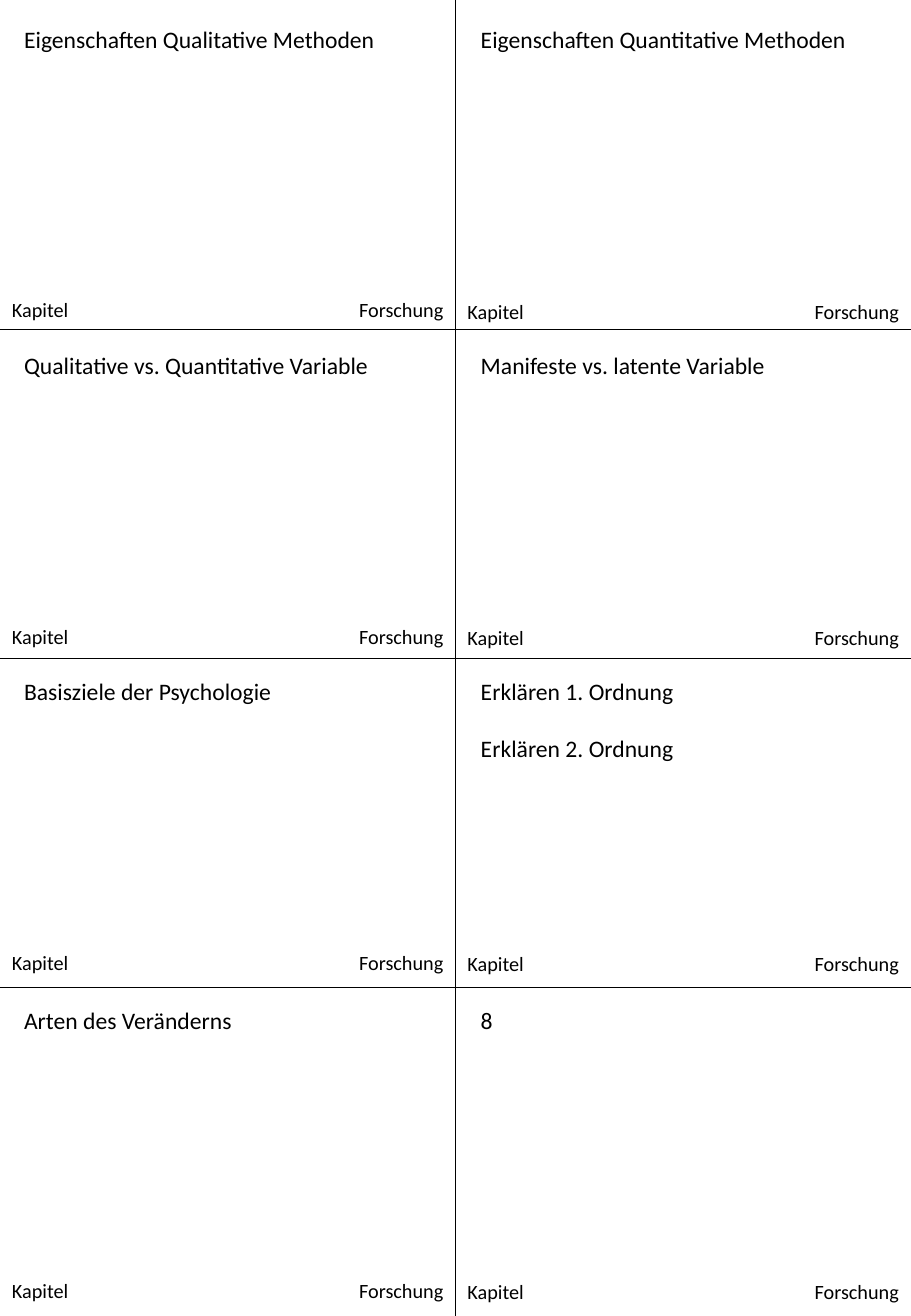
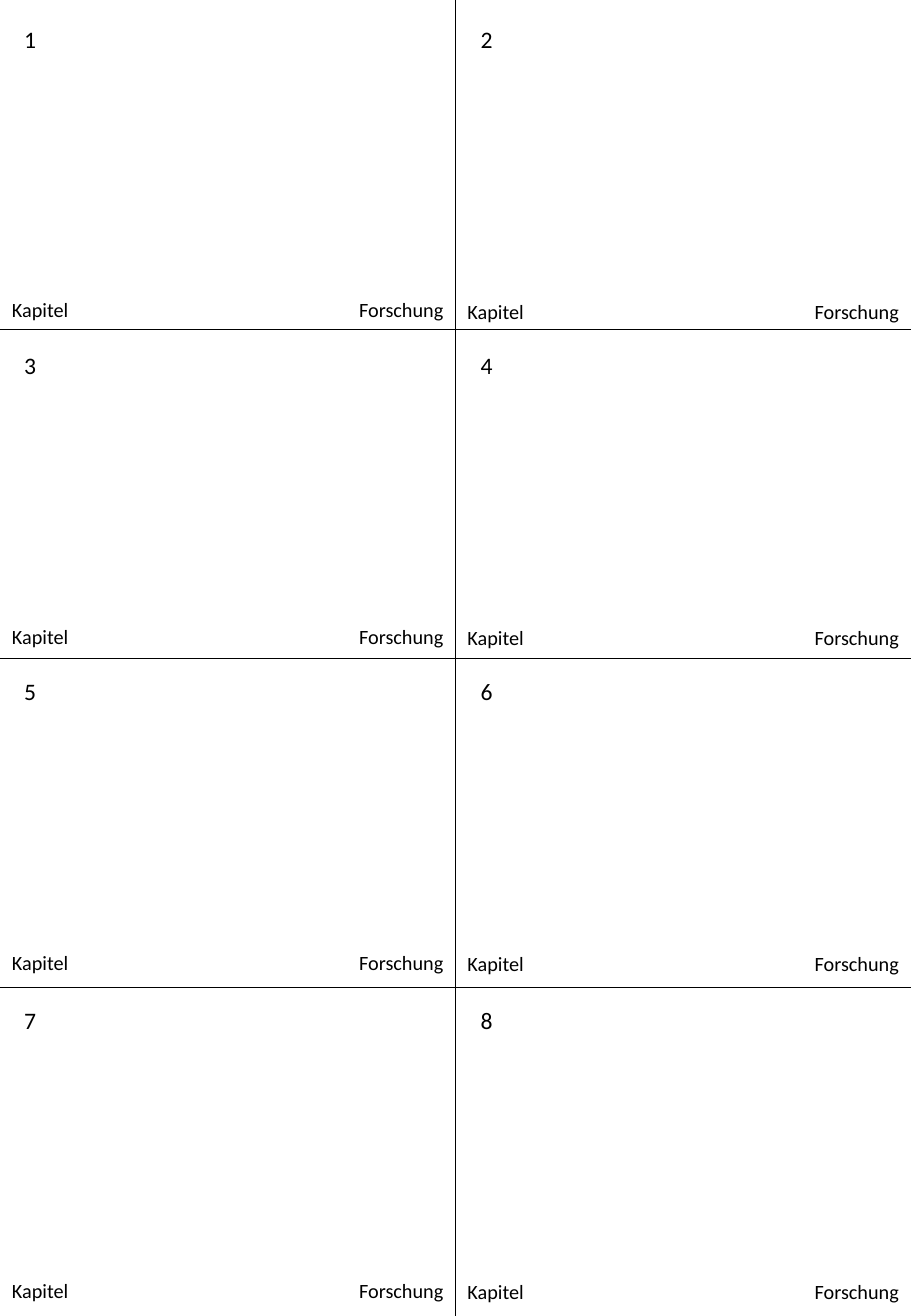
from lxml import etree
from pptx import Presentation
from pptx.dml.color import RGBColor as RGB
from pptx.enum.shapes import MSO_CONNECTOR as Conn
from pptx.enum.text import MSO_AUTO_SIZE as Auto, PP_ALIGN as Align
from pptx.oxml.ns import qn
from pptx.util import Inches, Pt

# Content: one list of cards per slide, each card a list of paragraphs
SHEETS = [
    [
        ["Eigenschaften Qualitative Methoden"],
        ["Eigenschaften Quantitative Methoden"],
        ["Qualitative vs. Quantitative Variable"],
        ["Manifeste vs. latente Variable"],
        ["Basisziele der Psychologie"],
        ["Erklären 1. Ordnung", "Erklären 2. Ordnung"],
        ["Arten des Veränderns"],
        ["8"],
    ],
    [[str(n)] for n in range(1, 9)],
]
CHAPTER, TOPIC = "Kapitel", "Forschung"

# Shared look
COLORS = {"text": "000000", "line": "000000", "back": "FFFFFF"}
FONT = "Calibri"
TITLE = {"size": Pt(14), "name": FONT}
FOOTER = {"size": Pt(12), "name": FONT}

# Grid of cards
WIDTH, HEIGHT = 7.5, 10.83
COLS, ROWS = 2, 4
CARD_W, CARD_H = WIDTH / COLS, HEIGHT / ROWS
TITLE_TOPS = [0.16, 2.84, 5.52, 8.23]
FOOT_TOPS = [2.4, 5.09, 7.77, 10.47]
TITLE_H, STEP_H, FOOT_H = 0.34, 0.47, 0.3
INSET, CHAPTER_W, TOPIC_W = 0.1, 2.11, 0.9


def add_text(slide, box, lines, style, align=Align.LEFT, wrap=True):
    shape = slide.shapes.add_textbox(*map(Inches, box))
    frame = shape.text_frame
    frame.word_wrap = wrap
    frame.auto_size = Auto.SHAPE_TO_FIT_TEXT
    for i, line in enumerate(lines):
        para = frame.add_paragraph() if i else frame.paragraphs[0]
        para.alignment = align
        if i:
            para.space_before = Pt(17)
        run = para.add_run()
        run.text = line
        for key, value in style.items():
            setattr(run.font, key, value)
        run.font.color.rgb = RGB.from_string(COLORS["text"])


def add_line(slide, *ends):
    line = slide.shapes.add_connector(Conn.STRAIGHT, *map(Inches, ends))
    line.line.color.rgb = RGB.from_string(COLORS["line"])
    line.line.width = Pt(0.5)
    etree.SubElement(line._element.spPr, qn("a:effectLst"))


def add_grid(slide):
    for row in range(1, ROWS):
        add_line(slide, 0, row * CARD_H, WIDTH, row * CARD_H)
    for col in range(1, COLS):
        add_line(slide, col * CARD_W, 0, col * CARD_W, HEIGHT)


def add_card(slide, index, lines):
    row, col = divmod(index, COLS)
    left = col * CARD_W
    # Title
    high = TITLE_H + STEP_H * (len(lines) - 1)
    box = (left + INSET + 0.01 * col, TITLE_TOPS[row], 3.54, high)
    add_text(slide, box, lines, TITLE)
    # Footer
    top = FOOT_TOPS[row] + 0.01 * col
    add_text(slide, (left, top, CHAPTER_W, FOOT_H), [CHAPTER], FOOTER)
    box = (left + CARD_W - TOPIC_W, top, TOPIC_W, FOOT_H)
    add_text(slide, box, [TOPIC], FOOTER, Align.RIGHT, wrap=False)


def main():
    deck = Presentation()
    deck.slide_width, deck.slide_height = Inches(WIDTH), Inches(HEIGHT)
    back = deck.slide_master.background.fill
    back.solid()
    back.fore_color.rgb = RGB.from_string(COLORS["back"])
    for cards in SHEETS:
        slide = deck.slides.add_slide(deck.slide_layouts[6])
        add_grid(slide)
        for index, lines in enumerate(cards):
            add_card(slide, index, lines)
    deck.save("out.pptx")


if __name__ == "__main__":
    main()
